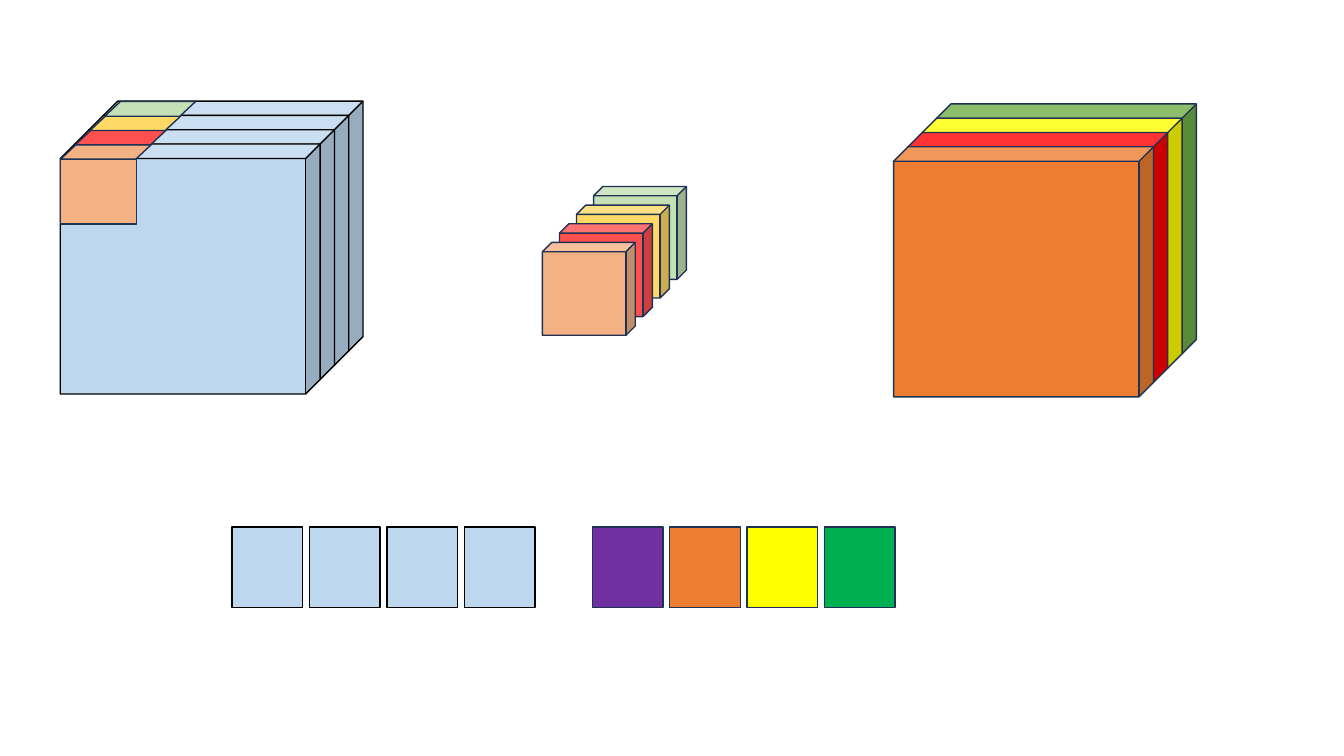
import pptx
import pptx.util
import pptx.dml.color
import pptx.enum.shapes
from dataclasses import dataclass

Cm = pptx.util.Cm
Kind = pptx.enum.shapes.MSO_SHAPE


@dataclass(frozen=True)
class Theme:
    blue: str = "BDD7EE"
    peach: str = "F4B183"
    coral: str = "FF5050"
    gold: str = "FFD966"
    sage: str = "C5E0B4"
    orange: str = "ED7D31"
    red: str = "FF0000"
    yellow: str = "FFFF00"
    leaf: str = "70AD47"
    purple: str = "7030A0"
    green: str = "00B050"
    black: str = "000000"
    navy: str = "1E3256"
    stroke: float = 1


THEME = Theme()
BIG = (6.55, 6.3)
SMALL = (2.34, 2.34)
STRIP = (2.29, 0.37)
PATCH = (1.91, 1.63)
TILE = (1.78, 2.03)
BIG_STEP = (-0.36, 0.36)
STRIP_STEP = (0.37, -0.36)


def rgb(code):
    return pptx.dml.color.RGBColor.from_string(code)


def shape(shapes, kind, spot, size, fill, edge, bend=None):
    item = shapes.add_shape(kind, *map(Cm, spot + size))
    item.shadow.inherit = False
    item.fill.solid()
    looks = {
        item.fill.fore_color: {"rgb": rgb(fill)},
        item.line.color: {"rgb": rgb(edge)},
        item.line: {"width": pptx.util.Pt(THEME.stroke)},
    }
    for part, values in looks.items():
        for name, value in values.items():
            setattr(part, name, value)
    if bend is not None:
        item.adjustments[0] = bend


def series(shapes, kind, start, step, size, fills, edge, bend=None):
    """Draw equal shapes, one per fill, each moved on by step."""
    for i, fill in enumerate(fills):
        spot = (start[0] + i * step[0], start[1] + i * step[1])
        shape(shapes, kind, spot, size, fill, edge, bend)


def cubes(shapes, start, step, size, fills, edge, bend):
    """Stack cubes from the back one to the front one."""
    series(shapes, Kind.CUBE, start, step, size, fills, edge, bend)


def strips(shapes, start, fills):
    series(shapes, Kind.PARALLELOGRAM, start, STRIP_STEP, STRIP,
           fills, THEME.navy, 1.07)


def corner(shapes):
    """Mark the top left part of each blue layer."""
    front = shapes.add_group_shape().shapes
    shape(front, Kind.RECTANGLE, (1.53, 4.02), PATCH, THEME.peach, THEME.navy)
    strips(front, (1.53, 3.64), [THEME.peach])
    strips(shapes, (1.9, 3.28), [THEME.coral, THEME.gold, THEME.sage])


def tiles(shapes, left, fills, edge):
    row = shapes.add_group_shape().shapes
    series(row, Kind.RECTANGLE, (left, 13.28), (1.95, 0), TILE, fills, edge)


def main():
    deck = pptx.Presentation()
    deck.slide_width, deck.slide_height = Cm(33.87), Cm(19.05)
    shapes = deck.slides.add_slide(deck.slide_layouts[6]).shapes
    t = THEME

    cubes(shapes, (2.6, 2.55), BIG_STEP, BIG, [t.blue] * 4, t.black, 0.058)
    corner(shapes)
    cubes(shapes, (14.96, 4.7), (-0.43, 0.47), SMALL,
          [t.sage, t.gold, t.coral, t.peach], t.navy, 0.1)
    cubes(shapes, (23.6, 2.62), BIG_STEP, BIG,
          [t.leaf, t.yellow, t.red, t.orange], t.navy, 0.058)

    tiles(shapes, 5.85, [t.blue] * 4, t.black)
    tiles(shapes, 14.93, [t.purple, t.orange, t.yellow, t.green], t.navy)
    deck.save("out.pptx")


if __name__ == "__main__":
    main()
